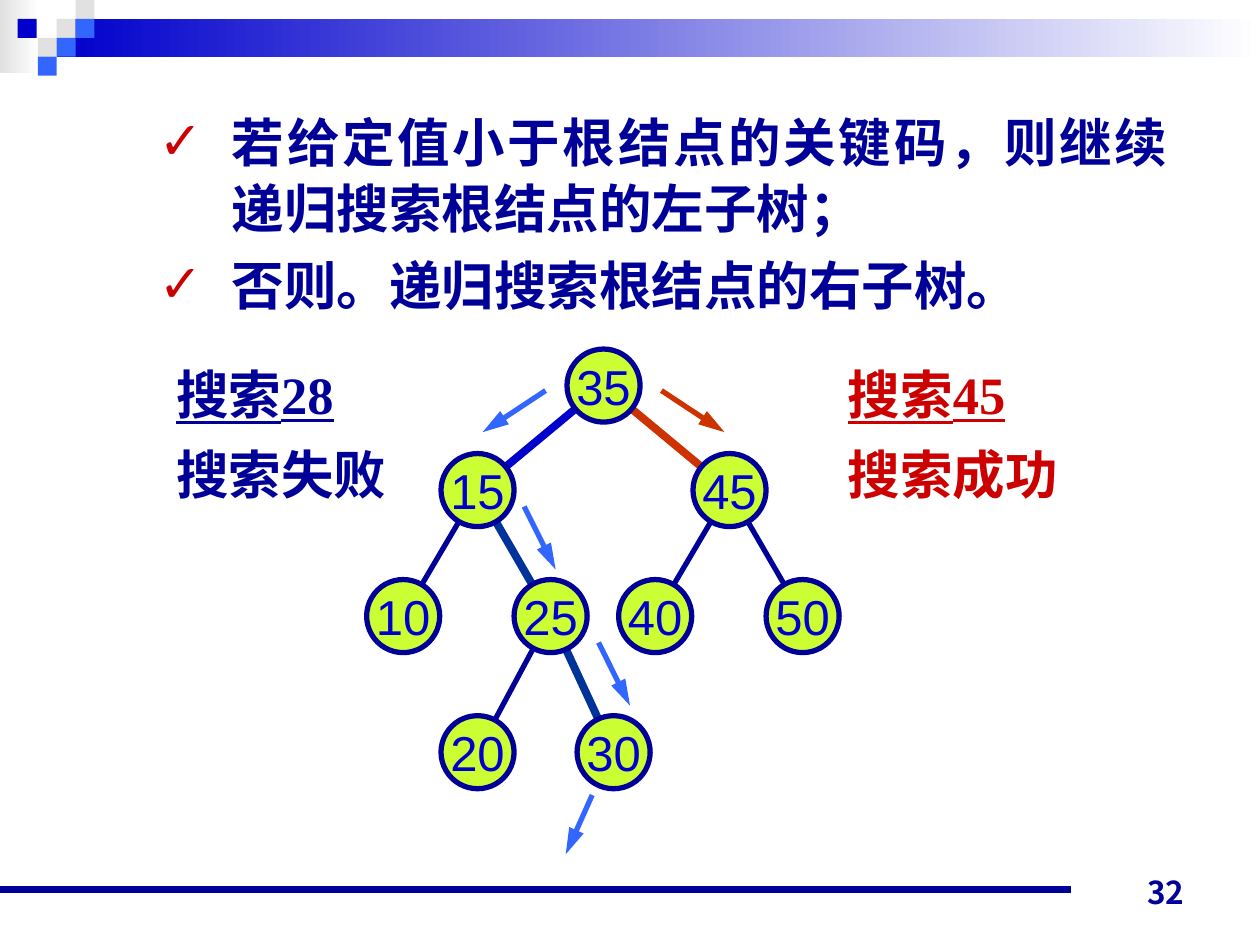
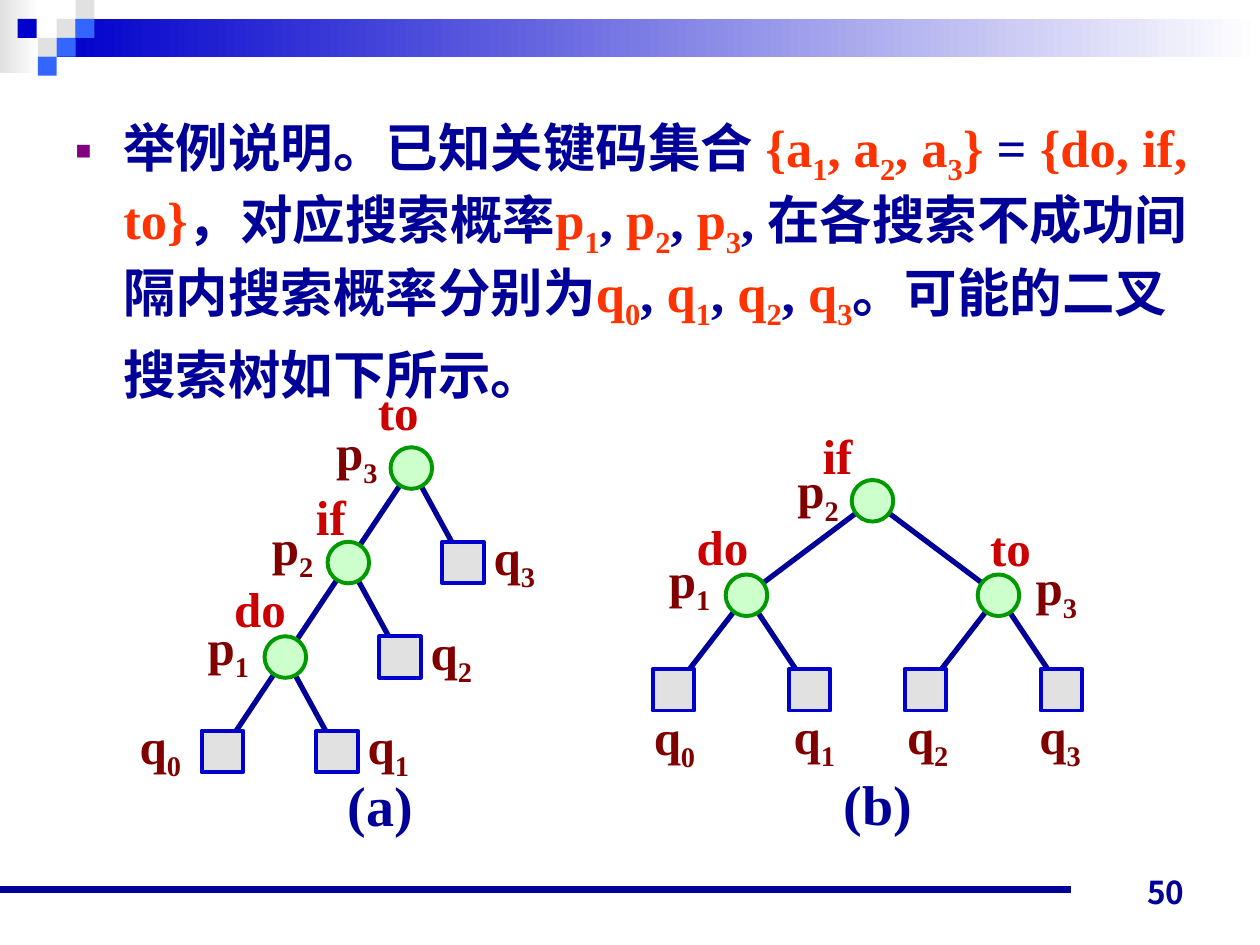
import math

from lxml import etree
from pptx import Presentation
from pptx.dml.color import RGBColor
from pptx.enum import shapes, text
from pptx.oxml import ns
from pptx.util import Inches, Pt

NAVY, BLUE, SKY, GREY, WHITE = "000099", "0000CC", "3366FF", "E1E1E1", "FFFFFF"
RED, ORANGE, MAROON, STEEL, RUST = "CC0000", "FF3300", "800000", "003399", "CC3300"
LIME, MINT, GREEN, PURPLE = "CCFF33", "CCFFCC", "009900", "800080"
SERIF, SANS, CJK = "Times New Roman", "Arial", "Noto Sans CJK JP"
RECT, OVAL = shapes.MSO_SHAPE.RECTANGLE, shapes.MSO_SHAPE.OVAL
LEFT, CENTER = text.PP_ALIGN.LEFT, text.PP_ALIGN.CENTER

CHECKER = [(0.45, 0.15, GREY), (0.6, 0, GREY), (0.6, 0.15, SKY), (0.3, 0.3, GREY),
           (0.14, 0.15, BLUE), (0.45, 0.3, SKY), (0.3, 0.45, SKY)]

NUMBERS = {"35": (1.59, 0), "15": (0.59, 0.83), "45": (2.59, 0.83), "10": (0, 1.83),
           "25": (1.17, 1.83), "40": (2, 1.83), "50": (3.17, 1.83),
           "20": (0.59, 2.91), "30": (1.67, 2.91)}
BRANCHES = [("35", "15", BLUE, 4.5), ("35", "45", RUST, 4.5), ("15", "10", NAVY, 3),
            ("15", "25", STEEL, 4.5), ("45", "40", NAVY, 3), ("45", "50", NAVY, 3),
            ("25", "20", NAVY, 3), ("25", "30", STEEL, 4.5)]
STEPS = [((2.34, 0.33), (2.84, 0.66), RUST), ((1.42, 0.33), (0.92, 0.66), SKY),
         ((1.25, 1.25), (1.5, 1.75), SKY), ((1.84, 2.33), (2.09, 2.83), SKY),
         ((1.79, 3.54), (1.58, 4.01), SKY)]

WORDS = {"p_1": ("do", 0.61), "p_2": ("if", 0.44), "p_3": ("to", 0.53)}
TREE_A = {"p_3": ((1.5, 0), None, (-0.53, -0.25), (-0.2, -0.57)),
          "p_2": ((1, 0.75), "p_3", (-0.54, -0.25), (-0.19, -0.49)),
          "p_1": ((0.5, 1.5), "p_2", (-0.55, -0.21), (-0.34, -0.51)),
          "q_0": ((0, 2.25), "p_1", (-0.59, -0.17)),
          "q_1": ((0.91, 2.25), "p_1", (0.31, -0.17)),
          "q_2": ((1.41, 1.5), "p_2", (0.31, -0.17)),
          "q_3": ((1.91, 0.75), "p_3", (0.31, -0.17))}
TREE_B = {"p_2": ((1.58, 0), None, (-0.53, -0.21), (-0.33, -0.48)),
          "p_1": ((0.58, 0.75), "p_2", (-0.55, -0.25), (-0.33, -0.51)),
          "p_3": ((2.58, 0.75), "p_2", (0.36, -0.19), (0, -0.5)),
          "q_0": ((0, 1.5), "p_1", (-0.09, 0.25)),
          "q_1": ((1.08, 1.5), "p_1", (-0.06, 0.24)),
          "q_2": ((2, 1.5), "p_3", (-0.08, 0.24)),
          "q_3": ((3.08, 1.5), "p_3", (-0.11, 0.24))}


def rgb(code):
    """Turn a hex string into a colour."""
    return RGBColor.from_string(code)


def add_spans(para, words, size, font, color, bold=True, underline=False):
    """Add text as runs, lowering each character that follows an underscore."""
    first, *rest = words.split("_")
    pieces = [(first, False)]
    for part in rest:
        pieces += [(part[0], True), (part[1:], False)]
    for piece, lowered in pieces:
        if not piece:
            continue
        span = para.add_run()
        span.text = piece
        span.font.size, span.font.name = Pt(size), font
        span.font.bold, span.font.underline = bold, underline
        span.font.color.rgb = rgb(color)
        props = span._r.get_or_add_rPr()
        etree.SubElement(props, ns.qn("a:ea")).set("typeface", CJK)
        if lowered:
            props.set("baseline", "-25000")


def add_block(page, kind, box, fill, line=None, width=0):
    """Add a flat shape, with a gradient when the fill is a pair."""
    shape = page.shapes.add_shape(kind, *map(Inches, box))
    shape.shadow.inherit = False
    if isinstance(fill, tuple):
        shape.fill.gradient()
        shape.fill.gradient_angle = 0
        for stop, code in zip(shape.fill.gradient_stops, fill):
            stop.color.rgb = rgb(code)
    else:
        shape.fill.solid()
        shape.fill.fore_color.rgb = rgb(fill)
    if line:
        shape.line.color.rgb = rgb(line)
        shape.line.width = Pt(width)
    else:
        shape.line.fill.background()
    return shape


def add_line(page, start, end, color, width, arrow=False):
    """Add a straight line, optionally with an arrowhead at its end."""
    line = page.shapes.add_connector(shapes.MSO_CONNECTOR.STRAIGHT,
                                     *map(Inches, (*start, *end)))
    line.line.color.rgb = rgb(color)
    line.line.width = Pt(width)
    if arrow:
        head = etree.SubElement(line.line._get_or_add_ln(), ns.qn("a:tailEnd"))
        head.set("type", "triangle")
        head.set("len", "lg")
    etree.SubElement(line._element.spPr, ns.qn("a:effectLst"))


def add_branch(page, parent, child, trim, color, width):
    """Join two node centres with a line shortened at both ends."""
    length = math.dist(parent, child)
    dx, dy = ((b - a) * trim / length for a, b in zip(parent, child))
    add_line(page, (parent[0] + dx, parent[1] + dy), (child[0] - dx, child[1] - dy),
             color, width)


def add_label(page, box, words, size, color):
    """Add a one-line serif label."""
    frame = page.shapes.add_textbox(*map(Inches, box)).text_frame
    frame.word_wrap = False
    frame.margin_right = 0
    add_spans(frame.paragraphs[0], words, size, SERIF, color)


def add_page(deck, number):
    """Add a page with the shared band, checker, rule and page number."""
    page = deck.slides.add_slide(deck.slide_layouts[1])
    title = page.shapes.title._element
    title.getparent().remove(title)
    add_block(page, RECT, (0, 0, 0.31, 0.58), (GREY, WHITE))
    add_block(page, RECT, (0.45, 0.15, 9.55, 0.3), (BLUE, WHITE))
    for left, top, color in CHECKER:
        add_block(page, RECT, (left, top, 0.15, 0.15), color)
    add_line(page, (0, 7.06), (8.5, 7.06), NAVY, 4.5)
    frame = page.shapes.add_textbox(*map(Inches, (7.17, 6.78, 2.33, 0.5))).text_frame
    frame.word_wrap = True
    frame.vertical_anchor = text.MSO_ANCHOR.BOTTOM
    frame.paragraphs[0].alignment = text.PP_ALIGN.RIGHT
    add_spans(frame.paragraphs[0], number, 18, CJK, NAVY)
    return page


def fill_body(page, box, points, font, align, pitch, indent, bullet):
    """Place the body placeholder and fill it with bulleted points."""
    body = page.placeholders[1]
    body.left, body.top, body.width, body.height = map(Inches, box)
    frame = body.text_frame
    frame.auto_size = text.MSO_AUTO_SIZE.NONE
    mark, color, left, scale = bullet
    for index, point in enumerate(points):
        para = frame.add_paragraph() if index else frame.paragraphs[0]
        para.alignment, para.line_spacing = align, Pt(pitch)
        para.space_before = Pt(6 if index else 0)
        props = para._p.get_or_add_pPr()
        props.set("marL", str(Inches(left)))
        props.set("indent", str(-Inches(indent)))
        holder = etree.SubElement(props, ns.qn("a:buClr"))
        etree.SubElement(holder, ns.qn("a:srgbClr")).set("val", color)
        etree.SubElement(props, ns.qn("a:buSzPct")).set("val", str(scale * 1000))
        etree.SubElement(props, ns.qn("a:buFont")).set("typeface", SANS)
        etree.SubElement(props, ns.qn("a:buChar")).set("char", mark)
        for words, code in point:
            add_spans(para, words, 30, font, code)


def add_result(page, left, top, query, outcome, color):
    """Add an underlined query above its outcome."""
    box = page.shapes.add_textbox(*map(Inches, (left, top, 1.88, 1.28)))
    frame = box.text_frame
    frame.word_wrap = False
    frame.margin_right = 0
    for index, words in enumerate((query, outcome)):
        para = frame.add_paragraph() if index else frame.paragraphs[0]
        para.line_spacing = Pt(35)
        para.space_before = Pt(10.5 if index else 0)
        add_spans(para, words, 30, SERIF, color, underline=index == 0)


def draw_number_tree(page, left, top, size=0.58):
    """Draw the search tree of numbers with its search steps."""
    centres = {key: (left + x + size / 2, top + y + size / 2)
               for key, (x, y) in NUMBERS.items()}
    for parent, child, color, width in BRANCHES:
        add_branch(page, centres[parent], centres[child], 0.25, color, width)
    for key, (x, y) in NUMBERS.items():
        node = add_block(page, OVAL, (left + x, top + y, size, size), LIME, NAVY, 3)
        frame = node.text_frame
        frame.word_wrap = False
        frame.margin_left = frame.margin_right = 0
        frame.margin_top = frame.margin_bottom = 0
        frame.vertical_anchor = text.MSO_ANCHOR.MIDDLE
        frame.paragraphs[0].alignment = CENTER
        add_spans(frame.paragraphs[0], key, 28, SANS, BLUE, bold=False)
    for start, end, color in STEPS:
        add_line(page, (left + start[0], top + start[1]),
                 (left + end[0], top + end[1]), color, 3, arrow=True)


def draw_word_tree(page, left, top, nodes, caption, caption_at, size=0.33):
    """Draw a tree of round word nodes and square gap leaves."""
    corners = {key: (left + node[0][0], top + node[0][1]) for key, node in nodes.items()}
    centres = {key: (x + size / 2, y + size / 2) for key, (x, y) in corners.items()}
    for key, node in nodes.items():
        if node[1]:
            add_branch(page, centres[node[1]], centres[key], 0.1, NAVY, 3)
    for key, (_, _, label_at, *word_at) in nodes.items():
        x, y = corners[key]
        kind, fill, line = (OVAL, MINT, GREEN) if key in WORDS else (RECT, GREY, BLUE)
        add_block(page, kind, (x, y, size, size), fill, line, 2.25)
        add_label(page, (x + label_at[0], y + label_at[1], 0.55, 0.57), key, 28, MAROON)
        for dx, dy in word_at:
            word, width = WORDS[key]
            add_label(page, (x + dx, y + dy, width, 0.57), word, 28, RED)
    add_label(page, (left + caption_at[0], top + caption_at[1], 0.8, 0.63),
              caption, 32, NAVY)


def build_search_page(deck):
    """Build the page that searches the number tree."""
    page = add_page(deck, "32")
    points = ["若给定值小于根结点的关键码，则继续递归搜索根结点的左子树；",
              "否则。递归搜索根结点的右子树。"]
    fill_body(page, (0.66, 0.8, 8.71, 1.97), [[(point, NAVY)] for point in points],
              SANS, text.PP_ALIGN.JUSTIFY, 37.7, 0.58, ("✓", RED, 1.08, 100))
    add_result(page, 6.63, 2.84, "搜索45", "搜索成功", RED)
    add_result(page, 1.3, 2.84, "搜索28", "搜索失败", NAVY)
    draw_number_tree(page, 2.91, 2.77)


def list_symbols(letter, numbers):
    """Return coloured subscripted symbols separated by commas."""
    spans = []
    for number in numbers:
        spans += [(f"{letter}_{number}", ORANGE), (", ", NAVY)]
    return spans[:-1]


def build_example_page(deck):
    """Build the page that compares two word trees."""
    page = add_page(deck, "50")
    point = [("举例说明。已知关键码集合 ", NAVY), ("{a_1, a_2, a_3}", ORANGE),
             (" = ", NAVY), ("{do, if, to}", ORANGE), ("，对应搜索概率", NAVY),
             *list_symbols("p", (1, 2, 3)),
             (", 在各搜索不成功间隔内搜索概率分别为", NAVY),
             *list_symbols("q", (0, 1, 2, 3)),
             ("。可能的二叉搜索树如下所示。", NAVY)]
    fill_body(page, (0.5, 0.85, 9.08, 2.6), [point], SERIF, LEFT, 41.6, 0.38,
              ("■", PURPLE, 0.38, 50))
    draw_word_tree(page, 1.6, 3.55, TREE_A, "(a)", (1.06, 2.52))
    draw_word_tree(page, 5.18, 3.81, TREE_B, "(b)", (1.42, 2.25))


def main():
    """Build and save the deck."""
    deck = Presentation()
    deck.slide_width, deck.slide_height = Inches(10), Inches(7.5)
    build_search_page(deck)
    build_example_page(deck)
    deck.save("out.pptx")


if __name__ == "__main__":
    main()
